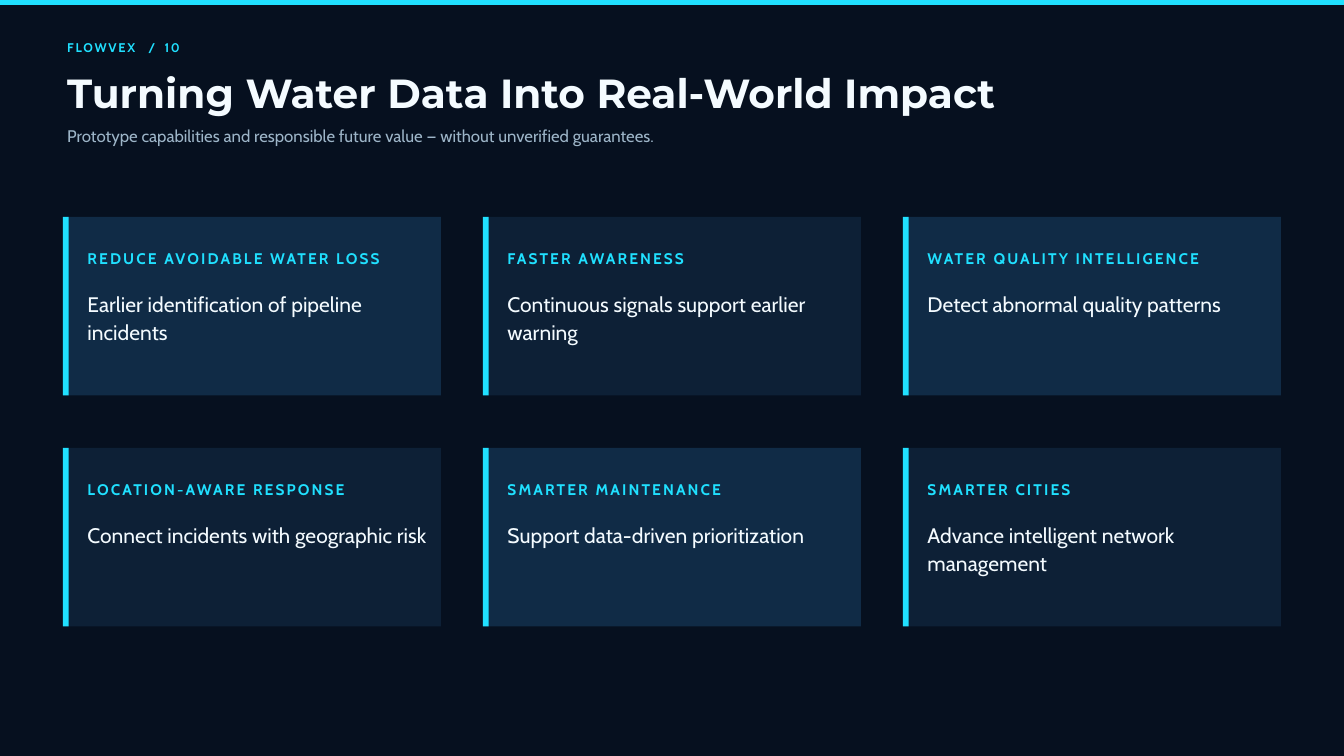
from dataclasses import dataclass

import pptx
import pptx.dml.color
import pptx.enum.shapes
import pptx.oxml
import pptx.oxml.ns
import pptx.util

EMU_PER_PX = 9525  # 1920 x 1080 px on a 20 x 11.25 inch slide


@dataclass(frozen=True)
class TextStyle:
    font: str
    size: float
    leading: float
    color: str
    bold: bool = False
    tracking: float = 0


class Theme:
    background = "06101F"
    accent = "20E0FF"
    card_fills = ("102B46", "0D2036")
    eyebrow = TextStyle("Cabin", 13.5, 18.9, accent, True, 1.9)
    title = TextStyle("Montserrat", 43.5, 45.7, "F4FBFF", True)
    subtitle = TextStyle("Cabin", 18, 24.3, "9DB5C8")
    card_label = TextStyle("Cabin", 16.5, 23.1, accent, True, 2.3)
    card_body = TextStyle("Cabin", 22.5, 29.2, "F4FBFF")


CARDS = [
    ("REDUCE AVOIDABLE WATER LOSS", "Earlier identification of pipeline incidents"),
    ("FASTER AWARENESS", "Continuous signals support earlier warning"),
    ("WATER QUALITY INTELLIGENCE", "Detect abnormal quality patterns"),
    ("LOCATION-AWARE RESPONSE", "Connect incidents with geographic risk"),
    ("SMARTER MAINTENANCE", "Support data-driven prioritization"),
    ("SMARTER CITIES", "Advance intelligent network management"),
]
COLUMNS = 3
GRID_LEFT, GRID_TOP = 90, 310
COLUMN_PITCH, ROW_PITCH = 600, 330
CARD_WIDTH, CARD_HEIGHT = 540, 255


def px(value):
    return pptx.util.Emu(value * EMU_PER_PX)


def rgb(color):
    return pptx.dml.color.RGBColor.from_string(color)


def add_block(slide, left, top, width, height, color):
    shape = slide.shapes.add_shape(
        pptx.enum.shapes.MSO_SHAPE.RECTANGLE, px(left), px(top), px(width), px(height))
    shape.shadow.inherit = False
    shape.fill.solid()
    shape.fill.fore_color.rgb = rgb(color)
    shape.line.fill.background()


def add_text(slide, left, top, width, height, text, style, tab_stops=()):
    frame = slide.shapes.add_textbox(px(left), px(top), px(width), px(height)).text_frame
    frame.word_wrap = True
    frame.margin_left = frame.margin_top = frame.margin_right = frame.margin_bottom = 0
    paragraph = frame.paragraphs[0]
    paragraph.text = text
    paragraph.line_spacing = pptx.util.Pt(style.leading)
    properties = paragraph._p.get_or_add_pPr()
    if tab_stops:
        tab_list = pptx.oxml.parse_xml(f"<a:tabLst {pptx.oxml.ns.nsdecls('a')}/>")
        for position in tab_stops:
            tab = pptx.oxml.parse_xml(f"<a:tab {pptx.oxml.ns.nsdecls('a')} algn='l'/>")
            tab.set("pos", str(px(position)))
            tab_list.append(tab)
        properties.append(tab_list)
    font = paragraph.font
    font.name = style.font
    font.size = pptx.util.Pt(style.size)
    font.bold = style.bold
    font.color.rgb = rgb(style.color)
    if style.tracking:
        defaults = properties.find(pptx.oxml.ns.qn("a:defRPr"))
        defaults.set("spc", str(round(style.tracking * 100)))


def add_header(slide):
    add_text(slide, 96, 54, 600, 24, "FLOWVEX\t/\t10", Theme.eyebrow, tab_stops=(116, 139))
    add_text(slide, 96, 106, 1500, 63, "Turning Water Data Into Real-World Impact", Theme.title)
    add_text(slide, 96, 176, 1400, 31,
             "Prototype capabilities and responsible future value — without unverified guarantees.",
             Theme.subtitle)
    add_block(slide, 0, 0, 1920, 7, Theme.accent)


def add_card(slide, left, top, fill, label, body):
    add_block(slide, left, top, CARD_WIDTH, CARD_HEIGHT, fill)
    add_block(slide, left, top, 8, CARD_HEIGHT, Theme.accent)
    add_text(slide, left + 35, top + 42, 500, 29, label, Theme.card_label)
    add_text(slide, left + 35, top + 104, 500, 77, body, Theme.card_body)


def main():
    presentation = pptx.Presentation()
    presentation.slide_width, presentation.slide_height = px(1920), px(1080)
    slide = presentation.slides.add_slide(presentation.slide_layouts[6])
    slide.background.fill.solid()
    slide.background.fill.fore_color.rgb = rgb(Theme.background)

    add_header(slide)

    # Card grid with alternating fills
    for index, (label, body) in enumerate(CARDS):
        row, column = divmod(index, COLUMNS)
        add_card(slide, GRID_LEFT + column * COLUMN_PITCH, GRID_TOP + row * ROW_PITCH,
                 Theme.card_fills[index % 2], label, body)

    presentation.save("out.pptx")


if __name__ == "__main__":
    main()
